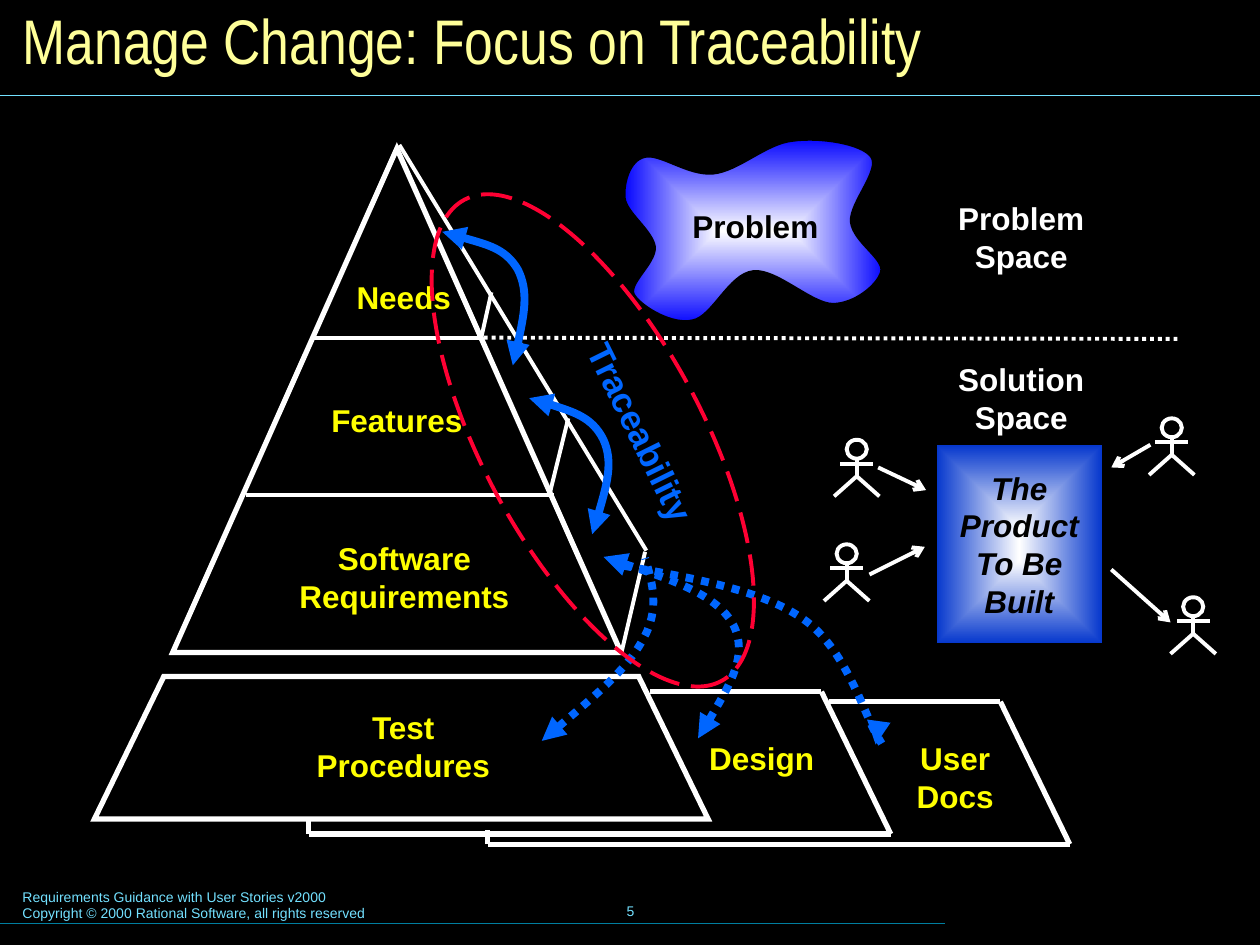
from dataclasses import dataclass

from lxml import etree
from pptx import Presentation
from pptx.dml.color import RGBColor
from pptx.enum.dml import MSO_LINE
from pptx.enum.shapes import MSO_CONNECTOR, MSO_SHAPE
from pptx.enum.text import MSO_ANCHOR, PP_ALIGN
from pptx.oxml.ns import qn
from pptx.util import Inches, Pt

STRAIGHT = MSO_CONNECTOR.STRAIGHT
DOTTED, LONG_DASH = MSO_LINE.ROUND_DOT, MSO_LINE.LONG_DASH
TRIANGLE, RECTANGLE, OVAL = MSO_SHAPE.ISOSCELES_TRIANGLE, MSO_SHAPE.RECTANGLE, MSO_SHAPE.OVAL
LEFT, CENTER = PP_ALIGN.LEFT, PP_ALIGN.CENTER
TOP, MIDDLE, BOTTOM = MSO_ANCHOR.TOP, MSO_ANCHOR.MIDDLE, MSO_ANCHOR.BOTTOM


@dataclass(frozen=True)
class Theme:
    black: str = "000000"
    white: str = "FFFFFF"
    title: str = "FFFF99"
    label: str = "FFFF00"
    footer: str = "73E1FF"
    footer_rule: str = "007E9F"
    trace: str = "0066FF"
    focus: str = "FF0033"
    problem: str = "0000FF"
    product: str = "0033CC"
    font: str = "Arial"
    title_font: str = "Arial Narrow"
    title_size: int = 36
    trace_size: int = 20
    label_size: int = 18
    footer_size: int = 8
    hairline: float = 0.75
    thin: float = 2.25
    thick: float = 3
    arrow: float = 4.5


THEME = Theme()


def style_line(shape, color, width, dash=None, head=None, tail=None):
    line = shape.line
    line.color.rgb = RGBColor.from_string(color)
    line.width = Pt(width)
    if dash is not None:
        line.dash_style = dash
    outline = shape.element.spPr.find(qn("a:ln"))
    etree.SubElement(outline, qn("a:miter")).set("lim", "800000")
    for tag, kind in (("a:headEnd", head), ("a:tailEnd", tail)):
        if kind:
            etree.SubElement(outline, qn(tag)).set("type", kind)


def fill_from_center(shape, color):
    shape.fill.gradient()
    for stop, stop_color in zip(shape.fill.gradient_stops, (THEME.white, color)):
        stop.color.rgb = RGBColor.from_string(stop_color)
    gradient = shape.element.spPr.find(qn("a:gradFill"))
    gradient.remove(gradient.find(qn("a:lin")))
    center = etree.SubElement(gradient, qn("a:path"))
    center.set("path", "rect")
    focus = etree.SubElement(center, qn("a:fillToRect"))
    for side in "ltrb":
        focus.set(side, "50000")


def finish_shape(shape, color, width, gradient=None, **line_options):
    shape.shadow.inherit = False
    if gradient:
        fill_from_center(shape, gradient)
    else:
        shape.fill.background()
    style_line(shape, color, width, **line_options)


def add_preset(slide, kind, box, color, width, rotation=0, **options):
    shape = slide.shapes.add_shape(kind, *map(Inches, box))
    shape.rotation = rotation
    finish_shape(shape, color, width, **options)


def add_line(slide, start, end, color=THEME.white, width=THEME.thin, **options):
    line = slide.shapes.add_connector(STRAIGHT, *map(Inches, (*start, *end)))
    style_line(line, color, width, **options)
    etree.SubElement(line.element.spPr, qn("a:effectLst"))


def add_outline(slide, points, color, width, close=False, curved=False, **options):
    start, *rest = [(Inches(x), Inches(y)) for x, y in points]
    builder = slide.shapes.build_freeform(*start)
    builder.add_line_segments(rest, close=close)
    shape = builder.convert_to_shape()
    if curved:
        bend_segments(shape)
    finish_shape(shape, color, width, **options)


def bend_segments(shape):
    segments = list(shape.element.iter(qn("a:lnTo")))
    for first in range(0, len(segments), 3):
        group = segments[first:first + 3]
        curve = etree.Element(qn("a:cubicBezTo"))
        group[0].addprevious(curve)
        for segment in group:
            curve.append(segment[0])
            segment.getparent().remove(segment)


def write_text(shape, lines, color, size, font=THEME.font, align=CENTER,
               anchor=TOP, bold=False, italic=False, wrap=True):
    frame = shape.text_frame
    frame.word_wrap = wrap
    frame.vertical_anchor = anchor
    for index, text in enumerate(lines):
        paragraph = frame.add_paragraph() if index else frame.paragraphs[0]
        paragraph.alignment = align
        run = paragraph.add_run()
        run.text = text
        run.font.name = font
        run.font.size = Pt(size)
        run.font.bold = bold
        run.font.italic = italic
        run.font.color.rgb = RGBColor.from_string(color)


def add_text(slide, box, lines, color, size, rotation=0, **options):
    shape = slide.shapes.add_textbox(*map(Inches, box))
    shape.rotation = rotation
    write_text(shape, lines, color, size, **options)


def add_label(slide, box, lines, color=THEME.label, **options):
    add_text(slide, box, lines, color, THEME.label_size, bold=True, **options)


def add_frame(slide):
    title = slide.shapes.title
    title.left, title.top, title.width, title.height = map(Inches, (0.08, 0.08, 9.84, 0.58))
    write_text(title, ["Manage Change: Focus on Traceability"], THEME.title,
               THEME.title_size, THEME.title_font, LEFT, BOTTOM)
    add_text(slide, (0.08, 7, 5.1, 0.37),
             ["Requirements Guidance with User Stories v2000",
              "Copyright © 2000 Rational Software, all rights reserved"],
             THEME.footer, THEME.footer_size, align=LEFT)
    add_text(slide, (3.42, 6.98, 3.17, 0.5), ["5"], THEME.footer, THEME.footer_size,
             anchor=MIDDLE, wrap=False)
    add_line(slide, (0, 7.33), (7.5, 7.33), THEME.footer_rule, THEME.hairline)
    add_line(slide, (0, 0.76), (10, 0.76), THEME.footer, THEME.hairline)


def add_pyramid(slide):
    add_preset(slide, TRIANGLE, (1.37, 1.18, 3.56, 4), THEME.white, THEME.thick)
    for start, end in (((2.49, 2.68), (3.82, 2.68)), ((1.95, 3.93), (4.4, 3.93)),
                       ((3.17, 1.15), (5.13, 4.37)), ((5.12, 4.38), (4.93, 5.19)),
                       ((4.51, 3.32), (4.36, 3.93)), ((3.9, 2.32), (3.82, 2.68))):
        add_line(slide, start, end)
    add_label(slide, (2.62, 2.16, 1.17, 0.4), ["Needs"])
    add_label(slide, (2.24, 3.13, 1.82, 0.4), ["Features"])
    add_label(slide, (2.16, 4.23, 2.1, 0.7), ["Software", "Requirements"])


def add_sheets(slide):
    add_outline(slide, [(0.75, 6.5), (5.62, 6.5), (5.07, 5.37), (1.3, 5.37)],
                THEME.white, THEME.thick, close=True)
    edge = [(5.16, 5.49), (6.52, 5.49), (7.07, 6.62), (2.45, 6.62), (2.45, 6.51)]
    for shift_x, shift_y in ((0, 0), (1.42, 0.08)):
        corners = [(x + shift_x, y + shift_y) for x, y in edge]
        for start, end in zip(corners, corners[1:]):
            add_line(slide, start, end, width=THEME.thick)
    add_label(slide, (2.29, 5.57, 1.82, 0.7), ["Test Procedures"])
    add_label(slide, (5.45, 5.82, 1.19, 0.4), ["Design"])
    add_label(slide, (7.12, 5.82, 0.92, 0.7), ["User Docs"])


def add_spaces(slide):
    cloud = [(5.19, 1.96), (5.17, 1.83), (4.96, 1.69), (4.95, 1.57), (4.94, 1.45),
             (4.99, 1.27), (5.11, 1.24), (5.23, 1.2), (5.46, 1.39), (5.66, 1.37),
             (5.86, 1.35), (6.08, 1.13), (6.29, 1.11), (6.5, 1.08), (6.84, 1.13),
             (6.92, 1.24), (7, 1.35), (6.75, 1.61), (6.76, 1.76), (6.78, 1.92),
             (7.03, 2.05), (7, 2.16), (6.97, 2.27), (6.78, 2.42), (6.61, 2.42),
             (6.44, 2.42), (6.16, 2.14), (5.98, 2.16), (5.79, 2.18), (5.66, 2.52),
             (5.5, 2.55), (5.34, 2.59), (5.1, 2.45), (5.03, 2.35), (4.96, 2.26),
             (5.2, 2.09), (5.19, 1.96)]
    add_outline(slide, cloud, THEME.black, THEME.thin, close=True, curved=True,
                gradient=THEME.problem)
    add_label(slide, (5.32, 1.59, 1.35, 0.4), ["Problem"], THEME.black)
    add_line(slide, (3.84, 2.68), (9.37, 2.69), dash=DOTTED)
    add_label(slide, (7.43, 1.53, 1.35, 0.7), ["Problem Space"], THEME.white)
    add_label(slide, (7.43, 2.81, 1.35, 0.7), ["Solution Space"], THEME.white)
    add_preset(slide, RECTANGLE, (7.42, 3.52, 1.34, 1.6), THEME.black, THEME.thin,
               gradient=THEME.product)
    add_label(slide, (7.48, 3.67, 1.22, 1.3), ["The Product To Be Built"], THEME.black,
              italic=True)


def add_actor(slide, x, y):
    add_preset(slide, OVAL, (x - 0.08, y, 0.16, 0.15), THEME.white, THEME.thin)
    add_line(slide, (x, y + 0.15), (x, y + 0.29))
    add_line(slide, (x - 0.13, y + 0.19), (x + 0.13, y + 0.19))
    add_outline(slide, [(x - 0.18, y + 0.45), (x, y + 0.29), (x + 0.18, y + 0.45)],
                THEME.white, THEME.thin)


def add_traces(slide):
    add_text(slide, (4.14, 3.21, 1.89, 0.44), ["Traceability"], THEME.trace,
             THEME.trace_size, rotation=63.7, bold=True)
    both = {"head": "triangle", "tail": "triangle"}
    traces = (
        ([(4.07, 2.9), (4.14, 2.61), (4.2, 2.32), (4.11, 2.14), (4.01, 1.97),
          (3.76, 1.91), (3.51, 1.84)], None, both),
        ([(4.7, 4.24), (4.79, 3.96), (4.87, 3.67), (4.79, 3.49), (4.7, 3.31),
          (4.45, 3.23), (4.2, 3.16)], None, both),
        ([(4.3, 5.88), (4.63, 5.6), (4.97, 5.32), (5.1, 5.08), (5.24, 4.84),
          (5.18, 4.63), (5.12, 4.43)], DOTTED, {"head": "triangle"}),
        ([(5.54, 5.86), (5.74, 5.53), (5.94, 5.2), (5.82, 4.96), (5.69, 4.72),
          (5.24, 4.57), (4.79, 4.42)], DOTTED, both),
        ([(4.95, 4.49), (5.5, 4.59), (6.04, 4.68), (6.37, 4.91), (6.7, 5.13),
          (6.86, 5.66), (6.95, 5.82), (7.05, 5.99), (7, 5.95), (6.95, 5.91)],
         DOTTED, {"tail": "triangle"}),
    )
    for points, dash, ends in traces:
        add_outline(slide, points, THEME.trace, THEME.arrow, curved=True, dash=dash, **ends)
    add_preset(slide, OVAL, (2.54, 2.62, 4.33, 1.75), THEME.focus, THEME.thin,
               rotation=241.9, dash=LONG_DASH)


def main():
    presentation = Presentation()
    presentation.slide_width, presentation.slide_height = Inches(10), Inches(7.5)
    slide = presentation.slides.add_slide(presentation.slide_layouts[5])
    slide.background.fill.solid()
    slide.background.fill.fore_color.rgb = RGBColor.from_string(THEME.black)
    add_frame(slide)
    add_spaces(slide)
    add_pyramid(slide)
    add_sheets(slide)
    for start, end in (((6.97, 3.71), (7.35, 3.89)), ((6.9, 4.56), (7.34, 4.34)),
                       ((9.13, 3.53), (8.82, 3.71)), ((8.82, 4.52), (9.29, 4.94))):
        add_line(slide, start, end, tail="arrow")
    for x, y in ((6.8, 3.49), (6.72, 4.32), (9.3, 3.32), (9.47, 4.74)):
        add_actor(slide, x, y)
    add_traces(slide)
    presentation.save("out.pptx")


if __name__ == "__main__":
    main()
